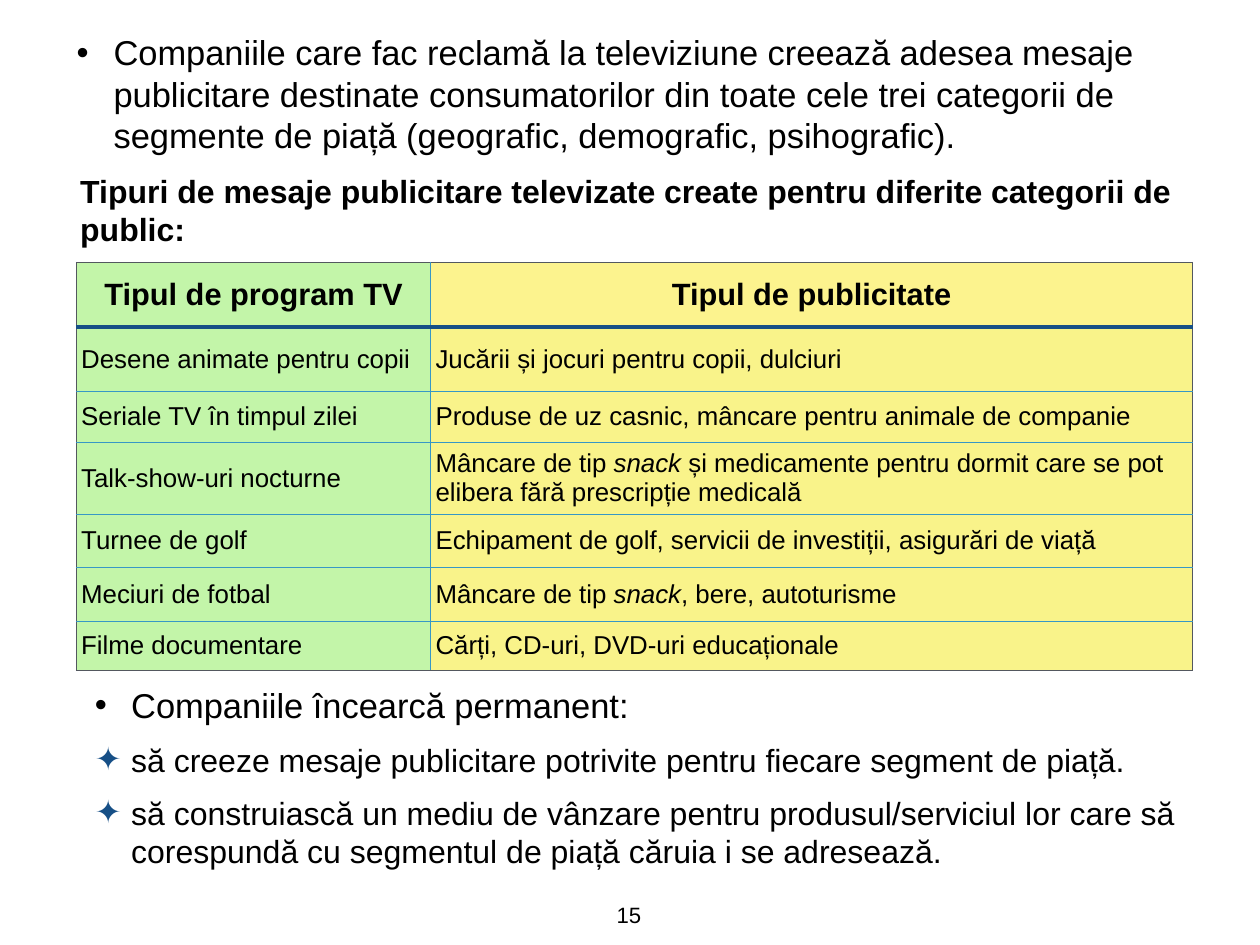
from lxml import etree
from pptx import Presentation
from pptx.dml.color import RGBColor
from pptx.enum.text import MSO_ANCHOR, MSO_AUTO_SIZE, PP_ALIGN
from pptx.oxml.ns import qn
from pptx.util import Pt

MIDDLE, TOP = MSO_ANCHOR.MIDDLE, MSO_ANCHOR.TOP
GROW = MSO_AUTO_SIZE.SHAPE_TO_FIT_TEXT
LEFT, CENTER = PP_ALIGN.LEFT, PP_ALIGN.CENTER

BLACK = RGBColor(0x00, 0x00, 0x00)
GREEN = RGBColor(0x88, 0xED, 0x55)
HEADER_YELLOW = RGBColor(0xFB, 0xE8, 0x1E)
YELLOW = RGBColor(0xF5, 0xE8, 0x16)
GREY = RGBColor(0x53, 0x58, 0x5F)
BLUE = RGBColor(0x37, 0x97, 0xC6)
NAVY = RGBColor(0x16, 0x4F, 0x86)
FONT = "Arial"
INSET = Pt(4)


def add_runs(paragraph, text, size, bold=False):
    """Add text as runs; parts between asterisks become italic."""
    for index, part in enumerate(text.split("*")):
        run = paragraph.add_run()
        run.text = part
        run.font.name = FONT
        run.font.size = Pt(size)
        run.font.bold = bold
        run.font.italic = index % 2 == 1
        run.font.color.rgb = BLACK


def add_bullet(paragraph, symbol, color, margin, hanging):
    properties = paragraph._p.get_or_add_pPr()
    properties.set("marL", str(Pt(margin)))
    properties.set("indent", str(-Pt(hanging)))
    bullet_color = etree.SubElement(properties, qn("a:buClr"))
    etree.SubElement(bullet_color, qn("a:srgbClr"), val=str(color))
    etree.SubElement(properties, qn("a:buFont"), typeface=FONT)
    etree.SubElement(properties, qn("a:buChar"), char=symbol)


presentation = Presentation()
presentation.slide_width = Pt(1024)
presentation.slide_height = Pt(768)
slide = presentation.slides.add_slide(presentation.slide_layouts[6])

# Text blocks: box, anchor, alignment, wrap, paragraphs (text, size, bold, bullet)
DOT_WIDE = ("•", BLACK, 30, 30)
DOT = ("•", BLACK, 50, 29.5)
STAR = ("✦", NAVY, 50, 29.5)
text_blocks = [
    ((58.3, 24.5, 926, 103), MIDDLE, LEFT, True, [
        ("Companiile care fac reclamă la televiziune creează adesea mesaje "
         "publicitare destinate consumatorilor din toate cele trei categorii de "
         "segmente de piață (geografic, demografic, psihografic).",
         28, False, DOT_WIDE)]),
    ((61.2, 136, 919.5, 69), MIDDLE, LEFT, True, [
        ("Tipuri de mesaje publicitare televizate create pentru diferite "
         "categorii de public:", 26, True, None)]),
    ((52.6, 553.7, 926, 156), MIDDLE, LEFT, True, [
        ("Companiile încearcă permanent:", 28, False, DOT),
        ("să creeze mesaje publicitare potrivite pentru fiecare segment de "
         "piață.", 26, False, STAR),
        ("să construiască un mediu de vânzare pentru produsul/serviciul lor care "
         "să corespundă cu segmentul de piață căruia i se adresează.",
         26, False, STAR)]),
    ((496.8, 728.6, 28.8, 30), TOP, CENTER, False, [("15", 18, False, None)]),
]
for box, anchor, alignment, wrap, paragraphs in text_blocks:
    frame = slide.shapes.add_textbox(*map(Pt, box)).text_frame
    frame.margin_left = frame.margin_right = INSET
    frame.margin_top = frame.margin_bottom = INSET
    frame.vertical_anchor = anchor
    frame.word_wrap = wrap
    frame.auto_size = GROW
    for index, (text, size, bold, bullet) in enumerate(paragraphs):
        paragraph = frame.add_paragraph() if index else frame.paragraphs[0]
        if bullet:
            add_bullet(paragraph, *bullet)
        paragraph.alignment = alignment
        if index:
            paragraph.space_before = Pt(12)
        add_runs(paragraph, text, size, bold)

# Table of programmes and matching advertising
programmes = [
    (52.5, "Tipul de program TV", "Tipul de publicitate"),
    (52.5, "Desene animate pentru copii", "Jucării și jocuri pentru copii, dulciuri"),
    (41, "Seriale TV în timpul zilei",
     "Produse de uz casnic, mâncare pentru animale de companie"),
    (58.5, "Talk-show-uri nocturne",
     "Mâncare de tip *snack* și medicamente pentru dormit care se pot elibera "
     "fără prescripție medicală"),
    (43.5, "Turnee de golf",
     "Echipament de golf, servicii de investiții, asigurări de viață"),
    (44, "Meciuri de fotbal", "Mâncare de tip *snack*, bere, autoturisme"),
    (39.5, "Filme documentare", "Cărți, CD-uri, DVD-uri educaționale"),
]
column_widths = (288, 619)
table = slide.shapes.add_table(
    len(programmes), len(column_widths), Pt(62), Pt(213.3),
    Pt(sum(column_widths)), Pt(sum(row[0] for row in programmes))).table
for column, width in zip(table.columns, column_widths):
    column.width = Pt(width)

last_row = len(programmes) - 1
for row_index, (height, *texts) in enumerate(programmes):
    table.rows[row_index].height = Pt(height)
    header = row_index == 0
    top = {0: (GREY, 1), 1: (NAVY, 3)}.get(row_index, (BLUE, 1))
    bottom = {0: (NAVY, 3), last_row: (GREY, 1)}.get(row_index, (BLUE, 1))
    for column_index, text in enumerate(texts):
        cell = table.cell(row_index, column_index)
        cell.margin_left = cell.margin_right = INSET
        cell.margin_top = cell.margin_bottom = INSET
        cell.vertical_anchor = MIDDLE
        paragraph = cell.text_frame.paragraphs[0]
        paragraph.alignment = CENTER if header else LEFT
        add_runs(paragraph, text, 25 if header else 21, header)

        sides = [(GREY, 1), (BLUE, 1)]
        if column_index:
            sides.reverse()
        cell_properties = cell._tc.get_or_add_tcPr()
        for tag, (color, width) in zip(("lnL", "lnR", "lnT", "lnB"),
                                       (*sides, top, bottom)):
            border = etree.SubElement(cell_properties, qn(f"a:{tag}"),
                                      w=str(Pt(width)))
            border_fill = etree.SubElement(border, qn("a:solidFill"))
            etree.SubElement(border_fill, qn("a:srgbClr"), val=str(color))

        cell.fill.solid()
        cell.fill.fore_color.rgb = (
            GREEN if column_index == 0 else HEADER_YELLOW if header else YELLOW)
        fill_color = cell_properties.find(f"{qn('a:solidFill')}/{qn('a:srgbClr')}")
        etree.SubElement(fill_color, qn("a:alpha"), val="50000")

presentation.save("out.pptx")
